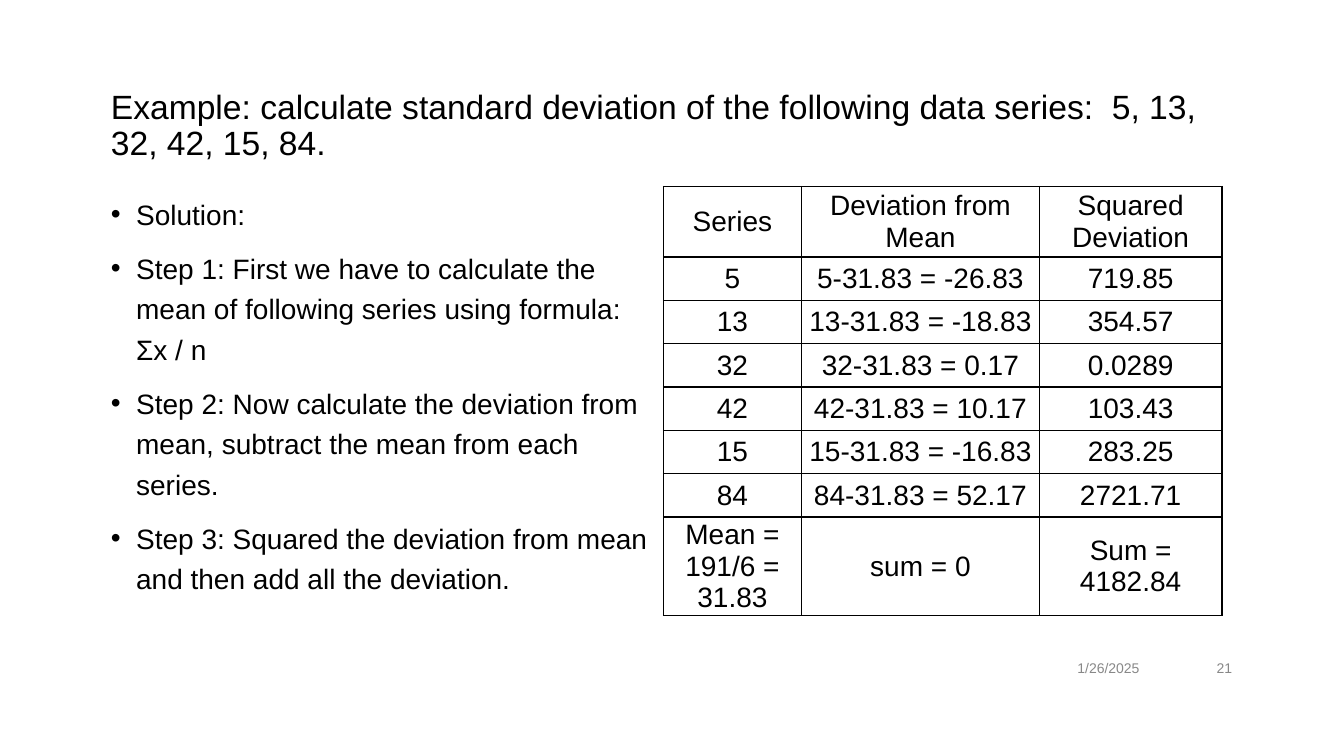
"""Build the standard deviation example slide."""
from lxml.etree import SubElement as Sub
from pptx import Presentation
from pptx.dml.color import RGBColor as Rgb
from pptx.enum.text import MSO_ANCHOR as Anchor, MSO_AUTO_SIZE as Fit, PP_ALIGN as Align
from pptx.oxml.ns import qn
from pptx.util import Inches, Pt

TITLE = "Example: calculate standard deviation of the following data series:  5, 13, 32, 42, 15, 84."
STEPS = [
    "Solution:",
    "Step 1: First we have to calculate the mean of following series using formula: Σx / n",
    "Step 2: Now calculate the deviation from mean, subtract the mean from each series.",
    "Step 3: Squared the deviation from mean and then add all the deviation.",
]
ROWS = [
    ("Series", "Deviation from Mean", "Squared Deviation"),
    ("5", "5-31.83 = -26.83", "719.85"),
    ("13", "13-31.83 = -18.83", "354.57"),
    ("32", "32-31.83 = 0.17", "0.0289"),
    ("42", "42-31.83 = 10.17", "103.43"),
    ("15", "15-31.83 = -16.83", "283.25"),
    ("84", "84-31.83 = 52.17", "2721.71"),
    ("Mean = 191/6 = 31.83", "sum = 0", "Sum = 4182.84"),
]
WIDTHS = [1.37, 2.36, 1.81]
HEIGHTS = [0.7] + [0.43] * 6 + [0.98]
FOOT = [("1/26/2025", 8.4, 3), ("21", 11.5, 0.82)]
COLORS = {"ink": "000000", "gray": "888888"}


def style(para, size, color="ink", align=Align.LEFT):
    para.alignment = align
    para.font.name = "Arial"
    para.font.size = Pt(size)
    para.font.color.rgb = Rgb.from_string(COLORS[color])


def place(shape, *box):
    shape.left, shape.top, shape.width, shape.height = map(Inches, box)
    shape.text_frame.auto_size = Fit.NONE
    shape.text_frame.word_wrap = True


def border(cell):
    props = cell._tc.get_or_add_tcPr()
    for side in ("a:lnL", "a:lnR", "a:lnT", "a:lnB"):
        line = Sub(props, qn(side), w=str(Pt(1)))
        fill = Sub(line, qn("a:solidFill"))
        Sub(fill, qn("a:srgbClr"), val=COLORS["ink"])


def add_title(slide):
    title = slide.shapes.title
    place(title, 1, 0.67, 11.22, 1.17)
    title.text_frame.text = TITLE
    title.text_frame.vertical_anchor = Anchor.MIDDLE
    para = title.text_frame.paragraphs[0]
    style(para, 24)
    para.line_spacing = 0.9


def add_steps(slide):
    body = slide.placeholders[1]
    place(body, 1, 1.84, 5.58, 4.49)
    body.text_frame.text = "\n".join(STEPS)
    for num, para in enumerate(body.text_frame.paragraphs):
        style(para, 20)
        para.line_spacing = 1.2
        para.space_before = Pt(10 if num else 0)
        props = para._p.get_or_add_pPr()
        props.set("marL", str(Inches(0.25)))
        props.set("indent", str(Inches(-0.25)))


def add_grid(slide):
    frame = slide.shapes.add_table(
        len(ROWS), len(WIDTHS), Inches(6.58), Inches(1.85),
        Inches(sum(WIDTHS)), Inches(sum(HEIGHTS)))
    table = frame.table
    table.first_row = table.horz_banding = False
    for col, width in zip(table.columns, WIDTHS):
        col.width = Inches(width)
    for row, height in zip(table.rows, HEIGHTS):
        row.height = Inches(height)
    for r, row in enumerate(ROWS):
        for c, text in enumerate(row):
            cell = table.cell(r, c)
            cell.text = text
            cell.vertical_anchor = Anchor.MIDDLE
            side = 0.04 if c else 0.02
            edge = 0.04 if r == 0 else side + 0.02 * (c > 0)
            cell.margin_left = cell.margin_right = Inches(side)
            cell.margin_top = cell.margin_bottom = Inches(edge)
            style(cell.text_frame.paragraphs[0], 20, align=Align.CENTER)
            border(cell)
            cell.fill.background()


def add_foot(slide):
    for text, left, width in FOOT:
        box = slide.shapes.add_textbox(0, 0, 0, 0)
        place(box, left, 6.43, width, 0.4)
        box.text_frame.text = text
        box.text_frame.vertical_anchor = Anchor.MIDDLE
        style(box.text_frame.paragraphs[0], 10, "gray", Align.RIGHT)


def main():
    deck = Presentation()
    deck.slide_width, deck.slide_height = Inches(13.33), Inches(7.5)
    slide = deck.slides.add_slide(deck.slide_layouts[1])
    for add in (add_title, add_steps, add_grid, add_foot):
        add(slide)
    deck.save("out.pptx")


if __name__ == "__main__":
    main()
